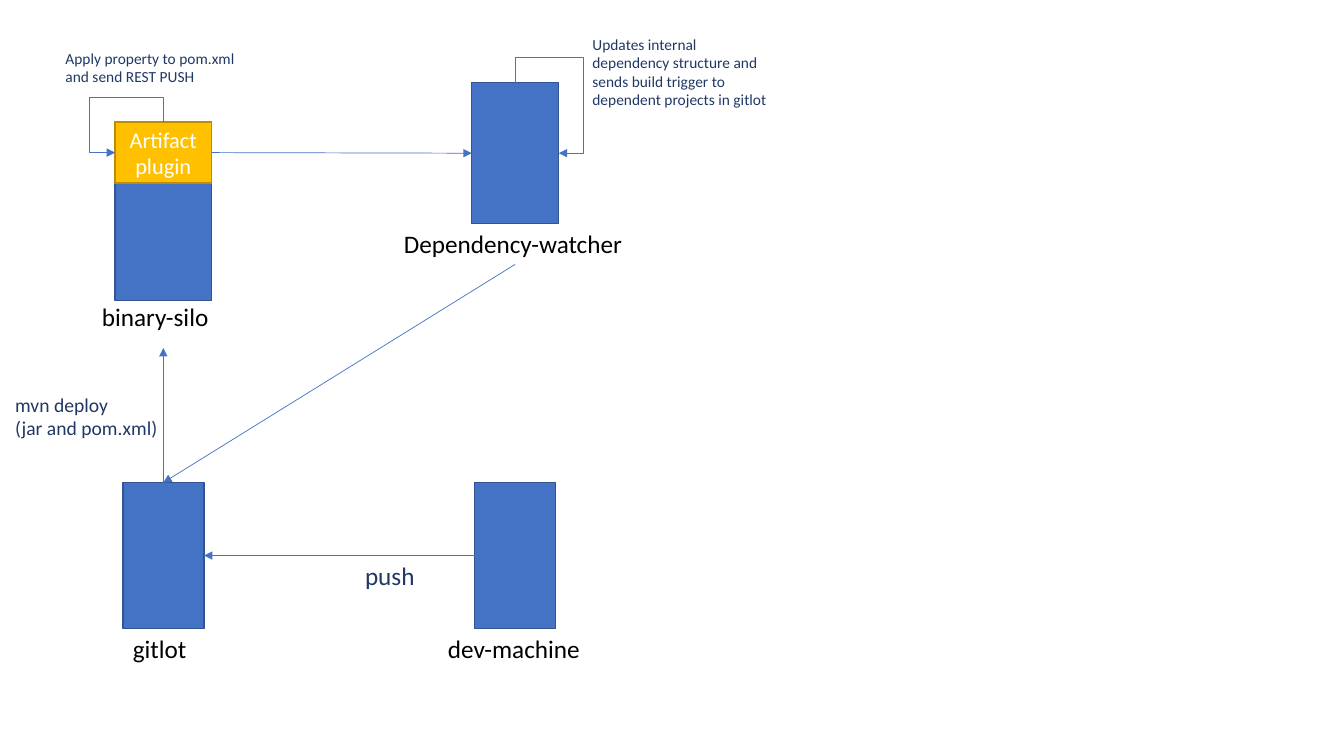
from lxml.etree import SubElement
from pptx import Presentation
from pptx.dml.color import RGBColor
from pptx.enum.shapes import MSO_CONNECTOR, MSO_SHAPE
from pptx.enum.text import MSO_ANCHOR, PP_ALIGN
from pptx.oxml.ns import qn
from pptx.util import Cm, Pt

COLORS = {
    "blue": "4472C4", "blue_edge": "325491", "gold": "FFC000", "gold_edge": "BD8E00",
    "navy": "203864", "black": "000000", "white": "FFFFFF",
}
MACHINE_TOP, MACHINE_SIZE, MACHINE_LABEL_TOP = 12.16, (2.04, 3.68), 15.84
MACHINE_MIDDLE = MACHINE_TOP + MACHINE_SIZE[1] / 2
STORE_LEFT, STORE_TOP, STORE_WIDTH, PLUGIN_HEIGHT = 2.9, 3.08, 2.43, 1.53
PLUGIN_MIDDLE = STORE_TOP + PLUGIN_HEIGHT / 2
STORE_CENTER = STORE_LEFT + STORE_WIDTH / 2
WATCHER_LEFT, WATCHER_TOP, WATCHER_WIDTH, WATCHER_HEIGHT = 11.89, 2.08, 2.19, 3.56
WATCHER_CENTER = WATCHER_LEFT + WATCHER_WIDTH / 2
WATCHER_MIDDLE = WATCHER_TOP + WATCHER_HEIGHT / 2


def color(name):
    """Return the named colour."""
    return RGBColor.from_string(COLORS[name])


def apply_format(target, values):
    """Set each format value on the target."""
    for name, value in values.items():
        setattr(target, name, value)


def write(box, text, size, ink, frame_format, align=PP_ALIGN.LEFT):
    """Put one styled paragraph into a shape."""
    frame = box.text_frame
    apply_format(frame, {"word_wrap": True, **frame_format})
    para = frame.paragraphs[0]
    apply_format(para, {"text": text, "alignment": align})
    for span in para.runs:
        apply_format(span.font, {"name": "Calibri", "size": Pt(size)})
        span.font.color.rgb = color(ink)


def add_text(shapes, text, bounds, size=18, ink="navy"):
    """Add a text box at bounds given in centimetres."""
    box = shapes.add_textbox(*map(Cm, bounds))
    write(box, text, size, ink, {"vertical_anchor": MSO_ANCHOR.TOP})


def add_block(shapes, bounds, fill="blue"):
    """Add an outlined rectangle."""
    block = shapes.add_shape(MSO_SHAPE.RECTANGLE, *map(Cm, bounds))
    block.shadow.inherit = False
    block.fill.solid()
    block.fill.fore_color.rgb = color(fill)
    block.line.color.rgb = color(fill + "_edge")
    block.line.width = Pt(1)
    return block


def add_node(page, label, bounds, label_bounds):
    """Add a grouped rectangle with its label and return the group."""
    group = page.shapes.add_group_shape()
    add_block(group.shapes, bounds)
    add_text(group.shapes, label, label_bounds, ink="black")
    return group


def add_arrow(page, start, end, kind=MSO_CONNECTOR.STRAIGHT):
    """Add a thin connector with a triangle at its end."""
    arrow = page.shapes.add_connector(kind, *map(Cm, (*start, *end)))
    arrow.line.color.rgb = color("blue")
    arrow.line.width = Pt(0.5)
    properties = arrow._element.spPr
    SubElement(properties.find(qn("a:ln")), qn("a:tailEnd"), type="triangle")
    SubElement(properties, qn("a:effectLst"))
    return arrow


def add_loop(page, start, end, adjustments):
    """Add an elbow arrow that leaves upwards and comes back from the side."""
    middle_x, middle_y = (start[0] + end[0]) / 2, (start[1] + end[1]) / 2
    turn_x, turn_y = middle_y - start[1], start[0] - middle_x
    arrow = add_arrow(page, (middle_x + turn_x, middle_y + turn_y),
                      (middle_x - turn_x, middle_y - turn_y), MSO_CONNECTOR.ELBOW)
    properties = arrow._element.spPr
    properties.find(qn("a:xfrm")).set("rot", str(270 * 60000))
    geometry = properties.find(qn("a:prstGeom"))
    geometry.set("prst", "bentConnector4")
    guides = geometry.find(qn("a:avLst"))
    if guides is None:
        guides = SubElement(geometry, qn("a:avLst"))
    for number, value in enumerate(adjustments, 1):
        SubElement(guides, qn("a:gd"), name=f"adj{number}", fmla=f"val {value}")


def add_nodes(page):
    """Add the four systems and the plugin."""
    add_node(page, "Dependency-watcher",
             (WATCHER_LEFT, WATCHER_TOP, WATCHER_WIDTH, WATCHER_HEIGHT), (9.93, 5.64, 6.12, 1.02))
    for label, left, label_left, label_width in (
            ("gitlot", 3.1, 3.1, 2.24), ("dev-machine", 11.96, 11.04, 3.89)):
        add_node(page, label, (left, MACHINE_TOP, *MACHINE_SIZE),
                 (label_left, MACHINE_LABEL_TOP, label_width, 1.02))
    store = add_node(page, "binary-silo", (STORE_LEFT, STORE_TOP, STORE_WIDTH, 4.5),
                     (2.32, 7.47, 3.58, 1.3))
    plugin = add_block(store.shapes, (STORE_LEFT, STORE_TOP, STORE_WIDTH, PLUGIN_HEIGHT), "gold")
    write(plugin, "Artifact plugin", 16, "white",
          {"vertical_anchor": MSO_ANCHOR.MIDDLE}, PP_ALIGN.CENTER)


def add_flows(page):
    """Add the arrows between the systems."""
    for start, end in (
            ((11.96, MACHINE_MIDDLE), (5.14, MACHINE_MIDDLE)),
            ((STORE_CENTER, MACHINE_TOP), (STORE_CENTER, 8.77)),
            ((STORE_LEFT + STORE_WIDTH, PLUGIN_MIDDLE), (WATCHER_LEFT, WATCHER_MIDDLE)),
            ((WATCHER_CENTER, 6.66), (STORE_CENTER, MACHINE_TOP))):
        add_arrow(page, start, end)
    add_loop(page, (STORE_CENTER, STORE_TOP), (STORE_LEFT, PLUGIN_MIDDLE), (-83000, 152600))
    add_loop(page, (WATCHER_CENTER, WATCHER_TOP),
             (WATCHER_LEFT + WATCHER_WIDTH, WATCHER_MIDDLE), (-35700, 157000))


def add_flow_texts(page):
    """Add the texts that explain the arrows."""
    for text, bounds, size in (
            ("push", (8.95, 14, 1.96, 1.02), 18),
            ("mvn deploy\v(jar and pom.xml)", (0.13, 9.77, 4.22, 1.44), 14),
            ("Apply property to pom.xml and send REST PUSH", (1.4, 1.11, 5, 1.19), 11),
            ("Updates internal dependency structure and sends build trigger to "
             "dependent projects in gitlot", (14.68, 0.76, 5, 2.13), 11)):
        add_text(page.shapes, text, bounds, size)


def main():
    """Build the deployment flow slide."""
    deck = Presentation()
    apply_format(deck, {"slide_width": Cm(33.87), "slide_height": Cm(19.05)})
    page = deck.slides.add_slide(deck.slide_layouts[6])
    add_nodes(page)
    add_flows(page)
    add_flow_texts(page)
    deck.save("out.pptx")


main()
